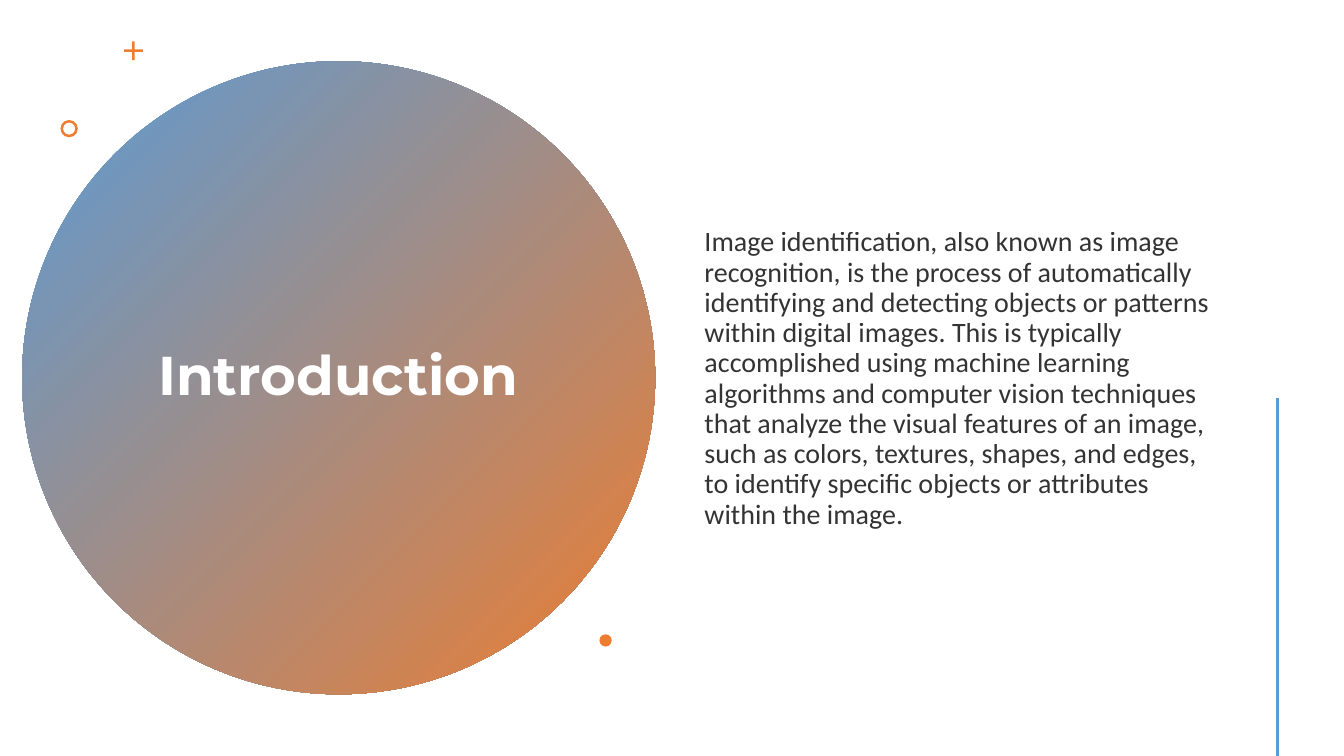
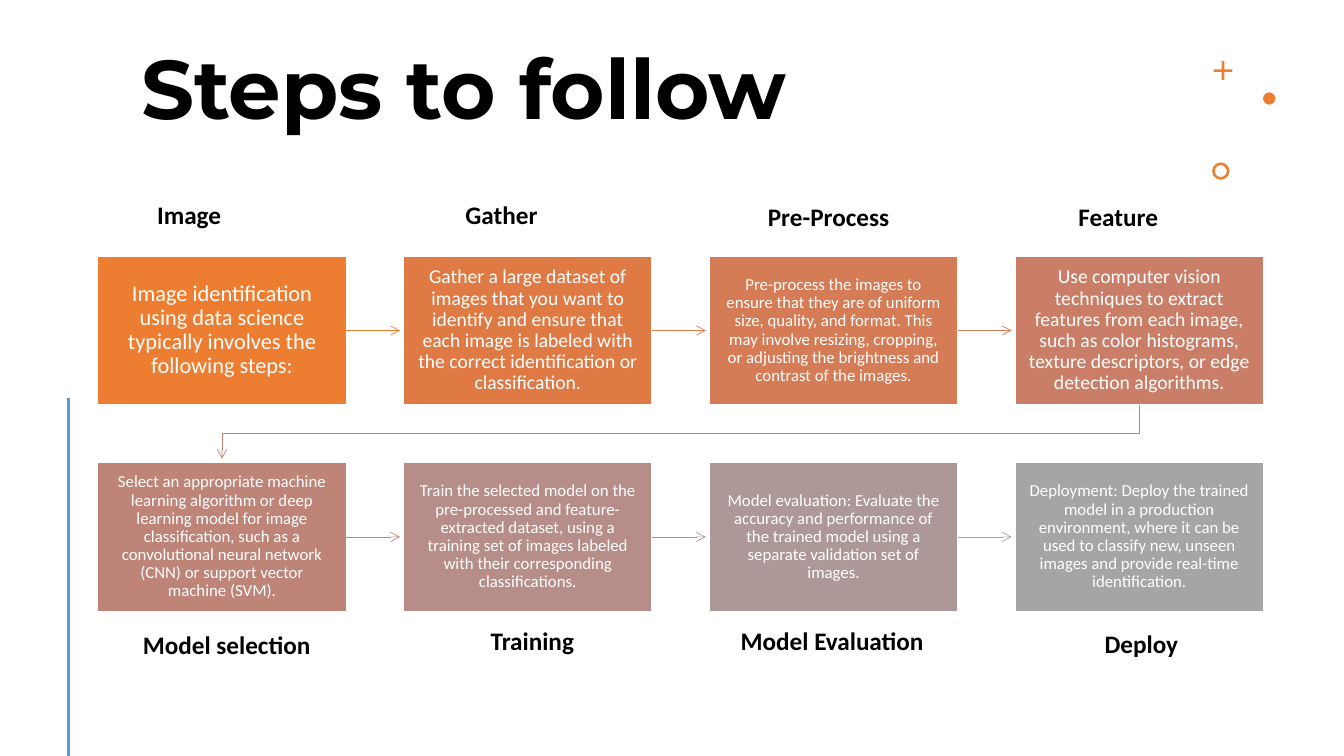
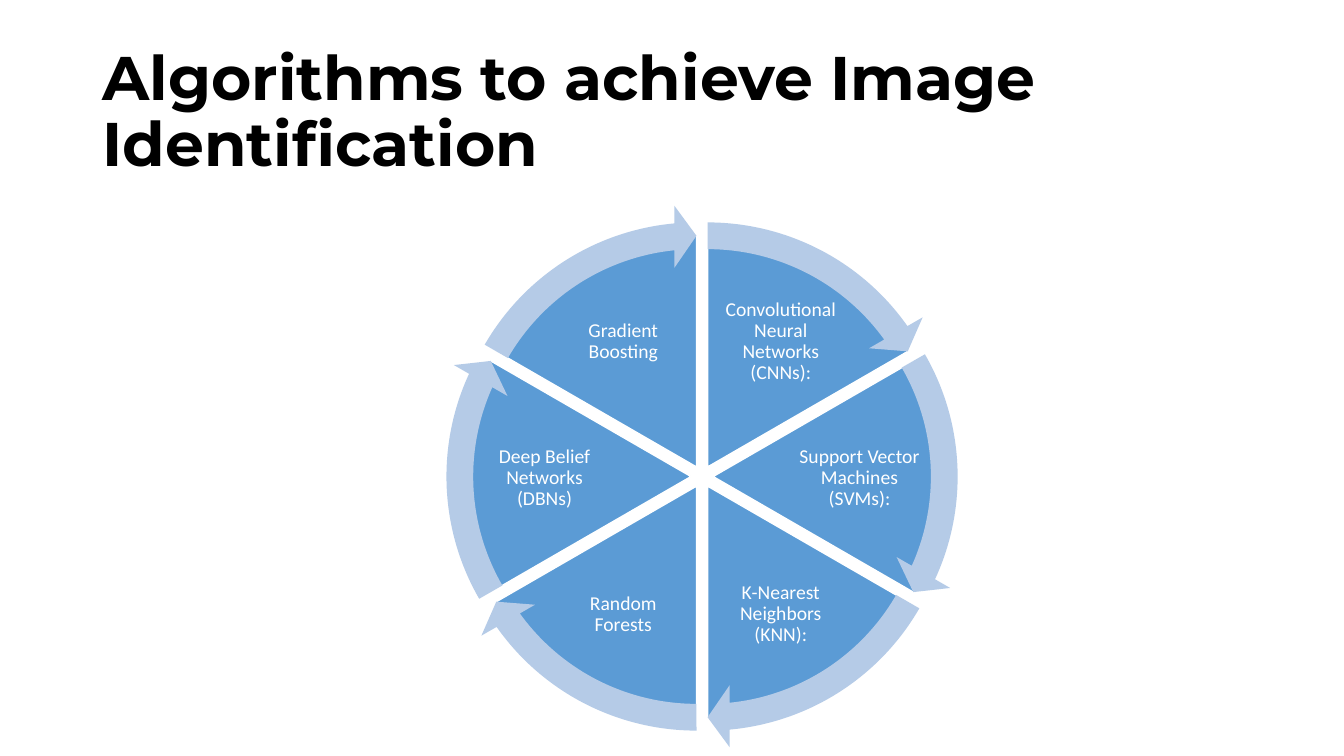
from math import cos, radians, sin

from lxml.etree import SubElement
from pptx import Presentation
from pptx.dml.color import RGBColor
from pptx.enum.shapes import MSO_CONNECTOR, MSO_SHAPE
from pptx.enum.text import MSO_ANCHOR, MSO_AUTO_SIZE, PP_ALIGN
from pptx.oxml.ns import qn
from pptx.util import Pt

LEFT, CENTER = PP_ALIGN.LEFT, PP_ALIGN.CENTER
TOP, MIDDLE = MSO_ANCHOR.TOP, MSO_ANCHOR.MIDDLE
STRAIGHT = MSO_CONNECTOR.STRAIGHT
RECT, OVAL, DONUT = MSO_SHAPE.RECTANGLE, MSO_SHAPE.OVAL, MSO_SHAPE.DONUT
CROSS, PIE, ARC_ARROW = MSO_SHAPE.CROSS, MSO_SHAPE.PIE, MSO_SHAPE.CIRCULAR_ARROW


class Theme:
    heading, body = "Montserrat", "Calibri"
    blue, pale_blue, orange = "5B9BD5", "B5CBE7", "ED7D31"
    black, white = "000000", "FFFFFF"
    # Fills of the step boxes, and colours of the arrows that leave them
    step_fills = ["ED7D31", "E07A44", "D57B56", "CA7E67",
                  "BF8478", "B68D88", "AD9897", "A5A5A5"]
    step_arrows = ["ED7D31", "DE7A47", "D17B5C", "C48170",
                   "B98A82", "AE9694", "A5A5A5", None]
    intro_title, steps_title, wheel_title = 39, 59.4, 44
    intro_text, caption, slice_label = 20, 18, 14
    step_large, step_medium, step_small = 16, 14, 12
    accent_line, outline, thin_line = 2, 1, 0.5


def write(tf, text, size, color, font=Theme.body, bold=False,
          align=LEFT, anchor=TOP, spacing=0.9, margins=(7.2, 3.6)):
    """Set one formatted paragraph and return it."""
    tf.text = text
    tf.word_wrap = True
    tf.auto_size = MSO_AUTO_SIZE.NONE
    tf.vertical_anchor = anchor
    tf.margin_left = tf.margin_right = Pt(margins[0])
    tf.margin_top = tf.margin_bottom = Pt(margins[1])
    p = tf.paragraphs[0]
    p.alignment, p.line_spacing = align, spacing
    r = p.runs[0]
    r.font.name, r.font.size, r.font.bold = font, Pt(size), bold
    r.font.color.rgb = RGBColor.from_string(color)
    return p


def paint(sp, fill=None, line=None, width=Theme.outline, arrow=False):
    """Set fill and line, without a shadow; connectors have no fill."""
    if fill:
        sp.fill.solid()
        sp.fill.fore_color.rgb = RGBColor.from_string(fill)
    if line:
        sp.line.color.rgb = RGBColor.from_string(line)
        sp.line.width = Pt(width)
    else:
        sp.line.fill.background()
    sp_pr = sp._element.spPr
    if arrow:
        SubElement(sp_pr.find(qn("a:ln")), qn("a:tailEnd"), type="arrow")
    SubElement(sp_pr, qn("a:effectLst"))


prs = Presentation()
prs.slide_width, prs.slide_height = Pt(960), Pt(540)
CONTENT_LAYOUT, TITLE_LAYOUT = prs.slide_layouts[1], prs.slide_layouts[5]
intro = prs.slides.add_slide(CONTENT_LAYOUT)
steps = prs.slides.add_slide(TITLE_LAYOUT)
wheel = prs.slides.add_slide(TITLE_LAYOUT)

# Titles
titles = [
    (intro, "Introduction", Theme.intro_title, Theme.white, CENTER, MIDDLE,
     (98, 101.5, 287.3, 336.2)),
    (steps, "Steps to follow", Theme.steps_title, Theme.black, LEFT, TOP,
     (93.6, 30.2, 736.6, 70.6)),
    (wheel, "Algorithms to achieve Image Identification", Theme.wheel_title,
     Theme.black, LEFT, MIDDLE, (66.2, 28.8, 828, 104.4)),
]
for s, text, size, color, align, anchor, place in titles:
    title = s.shapes.title
    title.left, title.top, title.width, title.height = map(Pt, place)
    write(title.text_frame, text, size, color, Theme.heading, True, align, anchor)

# Ornaments: plus, ring and dot, each with its size and shape adjustments
ornament_styles = {CROSS: (13.4, [0.43]), DONUT: (12.4, [0.15]), OVAL: (8.8, [])}
ornaments = [
    (intro, CROSS, 88.6, 29.5), (intro, DONUT, 43.2, 85.7), (intro, OVAL, 428.2, 453.1),
    (steps, CROSS, 866.9, 43.7), (steps, DONUT, 865.8, 116), (steps, OVAL, 902.2, 66),
]
for s, kind, x, y in ornaments:
    size, adjustments = ornament_styles[kind]
    ornament = s.shapes.add_shape(kind, Pt(x), Pt(y), Pt(size), Pt(size))
    paint(ornament, Theme.orange)
    for n, value in enumerate(adjustments):
        ornament.adjustments[n] = value

# Vertical accent line, down to the foot of the slide
for s, x in ((intro, 912.4), (steps, 49)):
    accent = s.shapes.add_connector(STRAIGHT, Pt(x), Pt(284), Pt(x), prs.slide_height)
    paint(accent, line=Theme.blue, width=Theme.accent_line)

# Introduction: gradient disc behind the title
disc = intro.shapes.add_shape(OVAL, Pt(15.8), Pt(43.7), Pt(452.2), Pt(452.2))
disc.fill.gradient()
disc.fill.gradient_angle = 315
for stop, color in zip(disc.fill.gradient_stops, (Theme.blue, Theme.orange)):
    stop.color.rgb = RGBColor.from_string(color)
paint(disc)
intro.shapes.title._element.addprevious(disc._element)

# Introduction: body text, unbulleted and slightly transparent
body = intro.placeholders[1]
body.left, body.top, body.width, body.height = map(Pt, (496, 41, 375.8, 459.4))
p = write(
    body.text_frame,
    "Image identification, also known as image recognition, is the process of "
    "automatically identifying and detecting objects or patterns within digital "
    "images. This is typically accomplished using machine learning algorithms and "
    "computer vision techniques that analyze the visual features of an image, such "
    "as colors, textures, shapes, and edges, to identify specific objects or "
    "attributes within the image.",
    Theme.intro_text, Theme.black, anchor=MIDDLE)
p.space_before = Pt(10)
p_pr = p._p.get_or_add_pPr()
p_pr.set("marL", "0")
p_pr.set("indent", "0")
SubElement(p_pr, qn("a:buNone"))
SubElement(p._p.find(".//" + qn("a:srgbClr")), qn("a:alpha"), val="80000")

# Steps: two rows of four boxes
step_texts = [
    (Theme.step_large,
     "Image identification using data science typically involves the following "
     "steps:"),
    (Theme.step_medium,
     "Gather a large dataset of images that you want to identify and ensure that "
     "each image is labeled with the correct identification or classification."),
    (Theme.step_small,
     "Pre-process the images to ensure that they are of uniform size, quality, and "
     "format. This may involve resizing, cropping, or adjusting the brightness and "
     "contrast of the images."),
    (Theme.step_medium,
     "Use computer vision techniques to extract features from each image, such as "
     "color histograms, texture descriptors, or edge detection algorithms."),
    (Theme.step_small,
     "Select an appropriate machine learning algorithm or deep learning model for "
     "image classification, such as a convolutional neural network (CNN) or support "
     "vector machine (SVM)."),
    (Theme.step_small,
     "Train the selected model on the pre-processed and feature-extracted dataset, "
     "using a training set of images labeled with their corresponding "
     "classifications."),
    (Theme.step_small,
     "Model evaluation: Evaluate the accuracy and performance of the trained model "
     "using a separate validation set of images."),
    (Theme.step_small,
     "Deployment: Deploy the trained model in a production environment, where it can "
     "be used to classify new, unseen images and provide real-time identification."),
]
COLS, BOX_W, BOX_H = 4, 177.6, 106.4
GRID_X, GRID_Y, PITCH_X, PITCH_Y = 69.8, 182.9, 218.4, 147.4
ARROW_LENGTH = 38.4
corners = [(GRID_X + i % COLS * PITCH_X, GRID_Y + i // COLS * PITCH_Y)
           for i in range(len(step_texts))]
for (x, y), fill, (size, text) in zip(corners, Theme.step_fills, step_texts):
    box = steps.shapes.add_shape(RECT, Pt(x), Pt(y), Pt(BOX_W), Pt(BOX_H))
    paint(box, fill, Theme.white)
    write(box.text_frame, text, size, Theme.white, align=CENTER, anchor=MIDDLE,
          margins=(8.6, 9.1))

# Steps: straight arrows along the rows, a bent one from row to row
for i, ((x, y), color) in enumerate(zip(corners, Theme.step_arrows)):
    if color is None:
        continue
    if i % COLS < COLS - 1:
        start_x, mid_y = x + BOX_W, y + BOX_H / 2
        arrow = steps.shapes.add_connector(
            STRAIGHT, Pt(start_x), Pt(mid_y), Pt(start_x + ARROW_LENGTH), Pt(mid_y))
    else:
        start_x, end_x = x + BOX_W / 2, GRID_X + BOX_W / 2
        start_y, turn_y = y + BOX_H, y + (BOX_H + PITCH_Y) / 2
        bend = steps.shapes.build_freeform(Pt(start_x), Pt(start_y))
        bend.add_line_segments(
            [(Pt(start_x), Pt(turn_y)), (Pt(end_x), Pt(turn_y)),
             (Pt(end_x), Pt(start_y + ARROW_LENGTH))], close=False)
        arrow = bend.convert_to_shape()
        arrow.fill.background()
    paint(arrow, line=color, width=Theme.thin_line, arrow=True)

# Steps: captions above and below the boxes
captions = [
    ("Image", 105.1, 139, 65.5), ("Gather", 325.4, 139, 77.8),
    ("Pre-Process", 541.4, 140.4, 102.2), ("Feature", 763.2, 140.4, 102.2),
    ("Model selection", 95, 446, 134.6), ("Training", 343.4, 443.2, 77.8),
    ("Model Evaluation", 522, 443.2, 149), ("Deploy", 781.9, 445, 102.2),
]
for text, x, y, w in captions:
    caption = steps.shapes.add_textbox(Pt(x), Pt(y), Pt(w), Pt(28.8))
    write(caption.text_frame, text, Theme.caption, Theme.black, bold=True, spacing=1)

# Wheel: six sectors, clockwise from the top, each pushed out from the hub
sectors = [
    "Convolutional Neural Networks (CNNs):", "Support Vector Machines (SVMs):",
    "K-Nearest Neighbors (KNN):", "Random Forests", "Deep Belief Networks (DBNs)",
    "Gradient Boosting",
]
HUB_X, HUB_Y, PUSH = 501.5, 340.4, 7.9
SECTOR, TOP_ANGLE = 360 / len(sectors), 270
PIE_D, RING_D = 332.6, 374.4
ARROW_SWEEP, HEAD_ANGLE, BAND, HEAD_WIDTH = 54.54, 5.46, 0.051, 0.059
LABEL_RADIUS, LABEL_DROP, LABEL_W, LABEL_H = 112.5, 1, 91, 67
# One degree, in the unit of shape adjustments
DEGREE = 0.6
starts = [(TOP_ANGLE + i * SECTOR) % 360 for i in range(len(sectors))]
directions = [(cos(radians(a + SECTOR / 2)), sin(radians(a + SECTOR / 2)))
              for a in starts]

# Wheel: slices first, ring of arrows on top
for kind, size, fill, line in ((PIE, PIE_D, Theme.blue, Theme.white),
                               (ARC_ARROW, RING_D, Theme.pale_blue, None)):
    for start, (dx, dy) in zip(starts, directions):
        x, y = HUB_X + PUSH * dx - size / 2, HUB_Y + PUSH * dy - size / 2
        sp = wheel.shapes.add_shape(kind, Pt(x), Pt(y), Pt(size), Pt(size))
        paint(sp, fill, line)
        if kind == PIE:
            adjustments = [start * DEGREE, (start + SECTOR) % 360 * DEGREE]
        else:
            tip = (start + ARROW_SWEEP) % 360
            adjustments = [BAND, HEAD_ANGLE * DEGREE, tip * DEGREE, start * DEGREE,
                           HEAD_WIDTH]
        for n, value in enumerate(adjustments):
            sp.adjustments[n] = value

# Wheel: labels on a circle around the hub
for text, (dx, dy) in zip(sectors, directions):
    x = HUB_X + LABEL_RADIUS * dx - LABEL_W / 2
    y = HUB_Y + LABEL_DROP + LABEL_RADIUS * dy - LABEL_H / 2
    label = wheel.shapes.add_textbox(Pt(x), Pt(y), Pt(LABEL_W), Pt(LABEL_H))
    write(label.text_frame, text, Theme.slice_label, Theme.white,
          align=CENTER, anchor=MIDDLE, margins=(1.4, 1.4))

prs.save("out.pptx")
